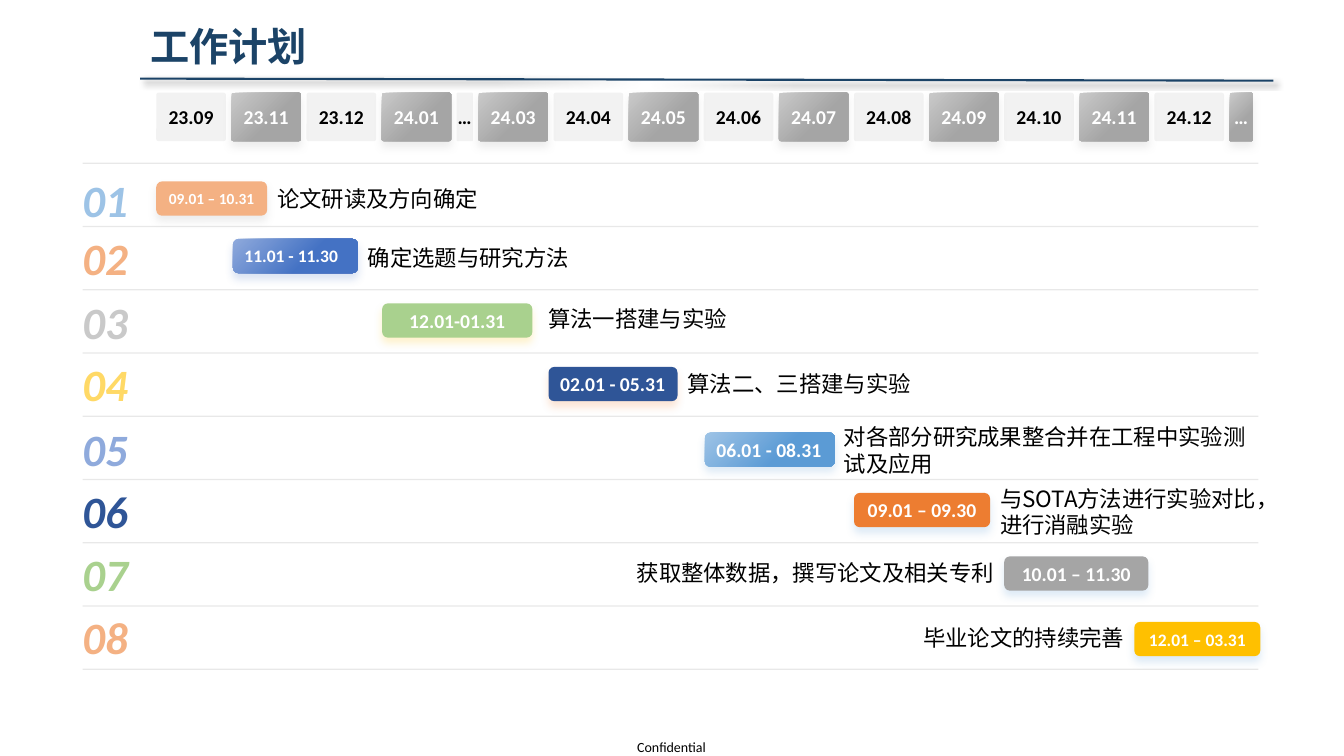
from dataclasses import dataclass
from typing import Optional

from lxml.etree import SubElement
from pptx import Presentation
from pptx.dml.color import RGBColor
from pptx.enum.shapes import MSO_CONNECTOR as Connector, MSO_SHAPE as ShapeKind
from pptx.enum.text import MSO_ANCHOR as Anchor, MSO_AUTO_SIZE as AutoSize, PP_ALIGN as Align
from pptx.oxml.ns import qn
from pptx.util import Inches, Pt

COLORS = {
    "white": "FFFFFF", "black": "000000", "navy": "1B4367", "rule": "262626",
    "cell": "808080", "gray": "A5A5A5", "light_gray": "C9C9C9",
    "blue": "4472C4", "light_blue": "8FAADC", "deep_blue": "2F5597",
    "sky": "5B9BD5", "light_sky": "9DC3E6", "green": "A9D18E",
    "orange": "ED7D31", "light_orange": "F4B183",
    "gold": "FFC000", "light_gold": "FFD966",
}
LATIN_FONT = "Calibri"
CHINESE_FONT = "Noto Sans CJK SC"

MONTHS = ["23.09", "23.11", "23.12", "24.01", "…", "24.03", "24.04", "24.05", "24.06",
          "24.07", "24.08", "24.09", "24.10", "24.11", "24.12", "…"]
MONTH_LEFT, MONTH_TOP, MONTH_HEIGHT = 1.55, 0.92, 0.48
MONTH_WIDTH, MONTH_GAP = 0.69, 0.055
ELLIPSIS_WIDTHS = {4: 0.16, 15: 0.23}

RULE_LEFT, RULE_RIGHT = 0.82, 12.48
RULE_TOP, RULE_BOTTOM = 1.62, 6.64
BAR_HEIGHT = 0.34


@dataclass
class Box:
    left: float
    top: float
    width: float
    height: float

    def lengths(self) -> list:
        return [Inches(value) for value in (self.left, self.top, self.width, self.height)]


@dataclass
class Shadow:
    color: str
    alpha: int = 20
    blur: float = 6
    distance: float = 4
    angle: int = 90


@dataclass
class TextStyle:
    size: float
    color: str
    font: str = LATIN_FONT
    bold: bool = False
    italic: bool = False
    align: Align = Align.LEFT


@dataclass
class Task:
    number_color: str
    number_top: float
    dates: str
    date_size: float
    date_align: Align
    bar_left: float
    bar_top: float
    bar_width: float
    bar_fill: tuple
    shadow_color: str
    description: str
    description_box: Box
    description_align: Align = Align.LEFT


TASKS = [
    Task("light_sky", 1.66, "09.01 – 10.31", 11, Align.CENTER, 1.55, 1.8, 1.1,
         ("light_orange",), "gray", "论文研读及方向确定", Box(2.65, 1.79, 3.46, 0.37)),
    Task("light_orange", 2.24, "11.01 - 11.30", 12.5, Align.LEFT, 2.31, 2.37, 1.24,
         ("light_blue", "blue"), "blue", "确定选题与研究方法", Box(3.55, 2.37, 3.24, 0.37)),
    Task("light_gray", 2.87, "12.01-01.31", 14, Align.CENTER, 3.79, 3.01, 1.49,
         ("green",), "gold", "算法一搭建与实验", Box(5.34, 2.98, 3.71, 0.37)),
    Task("light_gold", 3.49, "02.01 - 05.31", 14, Align.LEFT, 5.44, 3.64, 1.28,
         ("deep_blue",), "orange", "算法二、三搭建与实验", Box(6.72, 3.62, 4.26, 0.37)),
    Task("light_blue", 4.13, "06.01 - 08.31", 14, Align.LEFT, 6.99, 4.29, 1.29,
         ("light_sky", "sky"), "sky", "对各部分研究成果整合并在工程中实验测试及应用",
         Box(8.27, 4.15, 4.24, 0.64)),
    Task("deep_blue", 4.75, "09.01 – 09.30", 14, Align.CENTER, 8.47, 4.89, 1.35,
         ("orange",), "sky", "与SOTA方法进行实验对比，进行消融实验", Box(9.82, 4.76, 2.9, 0.64)),
    Task("green", 5.37, "10.01 – 11.30", 14, Align.CENTER, 9.96, 5.52, 1.43,
         ("gray",), "sky", "获取整体数据，撰写论文及相关专利",
         Box(6.01, 5.5, 3.95, 0.37), Align.RIGHT),
    Task("light_orange", 6.0, "12.01 – 03.31", 12.5, Align.CENTER, 11.25, 6.17, 1.25,
         ("gold",), "sky", "毕业论文的持续完善", Box(8.96, 6.14, 2.29, 0.37), Align.RIGHT),
]


def rgb(name: str) -> RGBColor:
    return RGBColor.from_string(COLORS[name])


def set_alpha(owner, percent: int) -> None:
    """Make the first solid colour below an XML element translucent."""
    color = next(owner.iter(qn("a:srgbClr")))
    SubElement(color, qn("a:alpha"), val=str(percent * 1000))


def set_shadow(shape, shadow: Optional[Shadow]) -> None:
    """Replace the theme shadow; None leaves the shape without one."""
    effects = SubElement(shape.element.spPr, qn("a:effectLst"))
    if shadow:
        outer = SubElement(effects, qn("a:outerShdw"), blurRad=str(Pt(shadow.blur)),
                           dist=str(Pt(shadow.distance)), dir=str(shadow.angle * 60000),
                           algn="t", rotWithShape="0")
        SubElement(outer, qn("a:srgbClr"), val=COLORS[shadow.color])
        set_alpha(outer, shadow.alpha)


def write_text(shape, text: str, style: TextStyle) -> None:
    paragraph = shape.text_frame.paragraphs[0]
    paragraph.alignment = style.align
    run = paragraph.add_run()
    run.text = text
    font = run.font
    font.size, font.bold, font.italic = Pt(style.size), style.bold, style.italic
    font.color.rgb = rgb(style.color)
    font.name = style.font
    SubElement(run.font._element, qn("a:ea"), typeface=CHINESE_FONT)


def add_text(slide, box: Box, text: str, style: TextStyle, wrap: bool = True):
    shape = slide.shapes.add_textbox(*box.lengths())
    shape.text_frame.word_wrap = wrap
    shape.text_frame.auto_size = AutoSize.SHAPE_TO_FIT_TEXT
    write_text(shape, text, style)
    return shape


def add_block(slide, box: Box, fill: tuple, text: str, style: TextStyle,
              shadow: Optional[Shadow], corner: Optional[float] = None,
              alpha: Optional[int] = None) -> None:
    """Draw a rounded block; two fill names make a diagonal gradient."""
    shape = slide.shapes.add_shape(ShapeKind.ROUNDED_RECTANGLE, *box.lengths())
    if corner is not None:
        shape.adjustments[0] = corner
    if len(fill) == 2:
        shape.fill.gradient()
        shape.fill.gradient_angle = 315
        for stop, name, position in zip(shape.fill.gradient_stops, fill, (0, 0.6)):
            stop.color.rgb = rgb(name)
            stop.position = position
    else:
        shape.fill.solid()
        shape.fill.fore_color.rgb = rgb(fill[0])
    if alpha is not None:
        set_alpha(shape.element.spPr, alpha)
    shape.line.fill.background()
    set_shadow(shape, shadow)
    shape.text_frame.word_wrap = False
    shape.text_frame.vertical_anchor = Anchor.MIDDLE
    write_text(shape, text, style)


def add_line(slide, start: tuple, end: tuple, color: str, width: float,
             shadow: Optional[Shadow] = None, alpha: Optional[int] = None) -> None:
    points = [Inches(value) for value in (*start, *end)]
    line = slide.shapes.add_connector(Connector.STRAIGHT, *points)
    line.line.color.rgb = rgb(color)
    line.line.width = Pt(width)
    if alpha is not None:
        set_alpha(line.element.spPr, alpha)
    set_shadow(line, shadow)


def add_header(slide) -> None:
    title = slide.shapes.title
    title.left, title.top, title.width, title.height = Box(1.39, 0.17, 8.09, 0.57).lengths()
    title.text_frame.vertical_anchor = Anchor.TOP
    write_text(title, "工作计划", TextStyle(28, "navy", bold=True))
    add_line(slide, (1.39, 0.78), (12.63, 0.8), "navy", 1.5, Shadow("black", 40, 4, 3, 45))


def add_months(slide) -> None:
    left = MONTH_LEFT
    for index, month in enumerate(MONTHS):
        dark = index % 2 == 1
        width = ELLIPSIS_WIDTHS.get(index, MONTH_WIDTH)
        style = TextStyle(14, "white" if dark else "black", bold=True, align=Align.CENTER)
        add_block(slide, Box(left, MONTH_TOP, width, MONTH_HEIGHT),
                  ("light_gray", "gray") if dark else ("cell",), month, style,
                  Shadow("gray") if dark else None, 0.045, None if dark else 10)
        left += width + MONTH_GAP


def add_tasks(slide) -> None:
    step = (RULE_BOTTOM - RULE_TOP) / len(TASKS)
    for index in range(len(TASKS) + 1):
        top = RULE_TOP + index * step
        add_line(slide, (RULE_LEFT, top), (RULE_RIGHT, top), "rule", 1, alpha=10)
    for number, task in enumerate(TASKS, start=1):
        add_text(slide, Box(0.72, task.number_top, 0.7, 0.64), f"{number:02}",
                 TextStyle(32, task.number_color, bold=True, italic=True), wrap=False)
        add_block(slide, Box(task.bar_left, task.bar_top, task.bar_width, BAR_HEIGHT),
                  task.bar_fill, task.dates,
                  TextStyle(task.date_size, "white", bold=True, align=task.date_align),
                  Shadow(task.shadow_color))
        add_text(slide, task.description_box, task.description,
                 TextStyle(16, "black", CHINESE_FONT, align=task.description_align))


def add_footer(slide) -> None:
    footer = add_text(slide, Box(6.32, 7.33, 0.72, 0.17), "Confidential", TextStyle(10, "black"))
    frame = footer.text_frame
    frame.margin_left = frame.margin_top = frame.margin_right = frame.margin_bottom = 0


def main() -> None:
    presentation = Presentation()
    presentation.slide_width, presentation.slide_height = Inches(13.33), Inches(7.5)
    slide = presentation.slides.add_slide(presentation.slide_layouts[5])
    add_header(slide)
    add_months(slide)
    add_tasks(slide)
    add_footer(slide)
    presentation.save("out.pptx")


if __name__ == "__main__":
    main()
